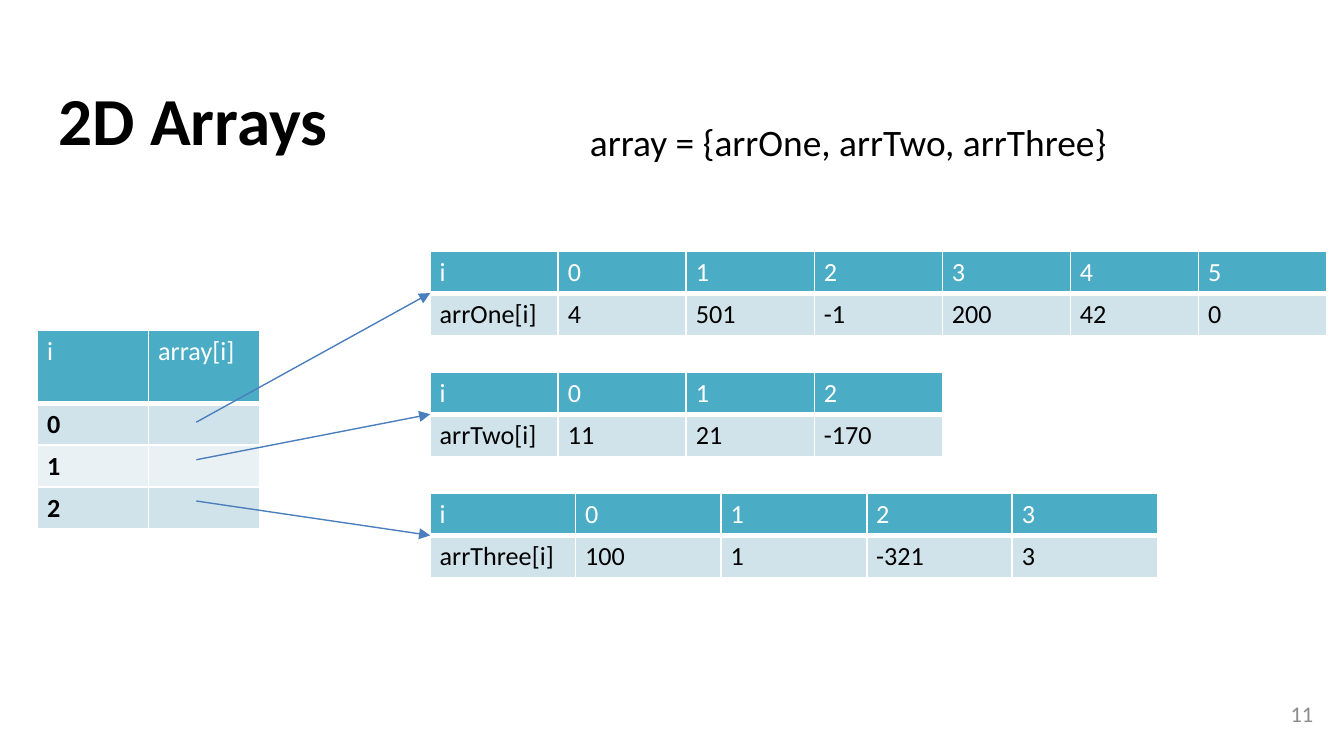
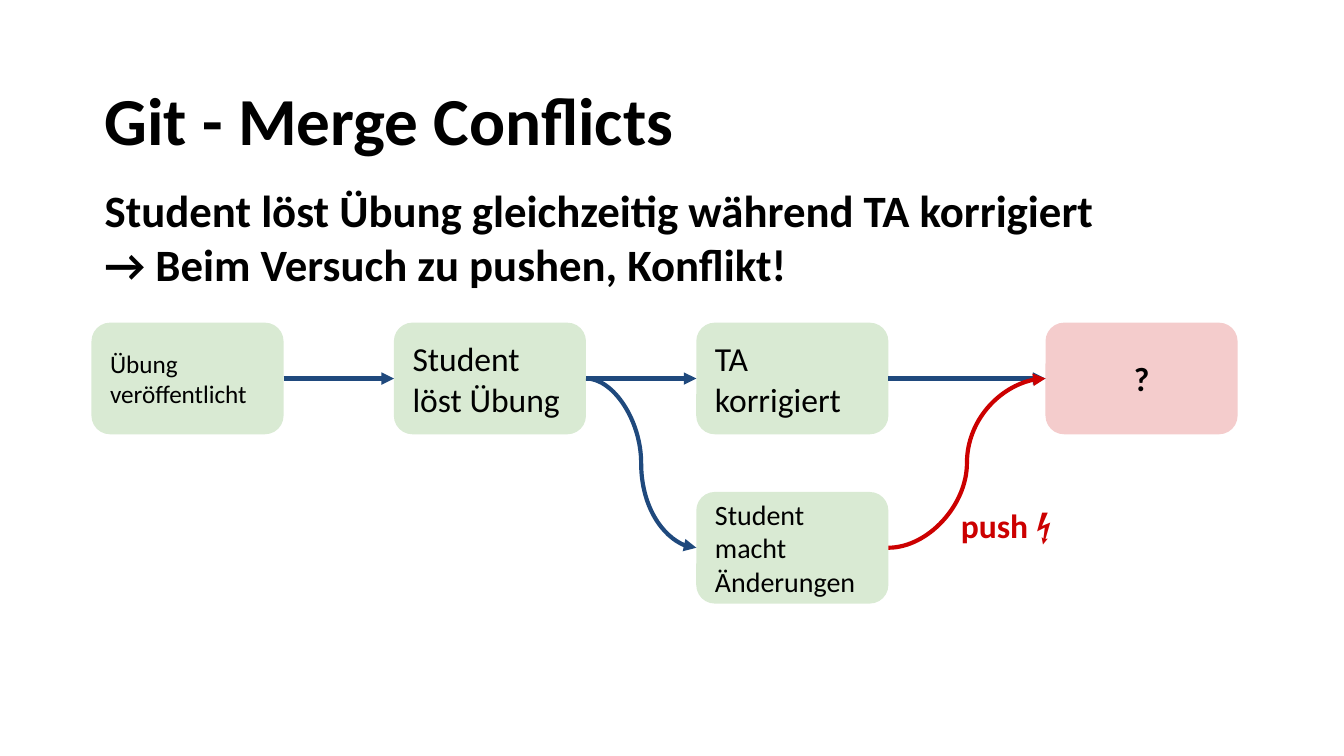
from dataclasses import dataclass

import lxml.etree
import pptx
import pptx.dml.color
import pptx.enum.shapes
import pptx.enum.text
import pptx.oxml.ns
import pptx.presentation
import pptx.shapes.autoshape
import pptx.slide
import pptx.table
import pptx.text.text
import pptx.util

Cm = pptx.util.Cm
Pt = pptx.util.Pt
qn = pptx.oxml.ns.qn
ALIGN = pptx.enum.text.PP_ALIGN
ANCHOR = pptx.enum.text.MSO_ANCHOR
CONNECTOR = pptx.enum.shapes.MSO_CONNECTOR


@dataclass(frozen=True)
class Theme:
    font: str = "Calibri"
    black: str = "000000"
    white: str = "FFFFFF"
    grey: str = "8C8C8C"
    header: str = "4BACC6"
    band: str = "D0E3EA"
    band_light: str = "E9F1F5"
    pointer: str = "4B7EBC"
    flow: str = "1F497D"
    conflict: str = "CC0000"
    step: str = "D9EAD3"
    unknown: str = "F4CCCC"
    title_size: float = 36
    body_size: float = 24
    formula_size: float = 20
    label_size: float = 18
    cell_size: float = 14
    number_size: float = 12


THEME = Theme()


@dataclass(frozen=True)
class Box:
    left: float
    top: float
    width: float
    height: float

    def lengths(self) -> tuple[int, int, int, int]:
        return Cm(self.left), Cm(self.top), Cm(self.width), Cm(self.height)


@dataclass(frozen=True)
class Style:
    size: float
    color: str = THEME.black
    bold: bool = False


@dataclass(frozen=True)
class ArrayTable:
    name: str
    values: tuple[int, ...]
    col_width: float
    pointer_y: float


@dataclass(frozen=True)
class Step:
    key: str
    text: str
    left: float
    top: float
    style: Style
    fill: str = THEME.step
    align: ALIGN = ALIGN.LEFT


@dataclass(frozen=True)
class Flow:
    source: str
    target: str
    kind: CONNECTOR = CONNECTOR.CURVE
    color: str = THEME.flow


def rgb(color: str) -> pptx.dml.color.RGBColor:
    return pptx.dml.color.RGBColor.from_string(color)


def write(tf: pptx.text.text.TextFrame, lines: list[str], style: Style,
          align: ALIGN = ALIGN.LEFT) -> None:
    p = tf.paragraphs[0]
    p.alignment = align
    for i, line in enumerate(lines):
        if i:
            p.add_line_break()
        r = p.add_run()
        r.text = line
        r.font.name = THEME.font
        r.font.size = Pt(style.size)
        r.font.bold = style.bold
        r.font.color.rgb = rgb(style.color)


def set_frame(tf: pptx.text.text.TextFrame, anchor: ANCHOR, inset: float) -> None:
    tf.word_wrap = True
    tf.vertical_anchor = anchor
    tf.margin_left = tf.margin_right = Cm(inset)
    tf.margin_top = tf.margin_bottom = Cm(inset)


def add_text(s: pptx.slide.Slide, box: Box, lines: list[str], style: Style,
             align: ALIGN = ALIGN.LEFT,
             anchor: ANCHOR = ANCHOR.TOP) -> pptx.text.text.TextFrame:
    tf = s.shapes.add_textbox(*box.lengths()).text_frame
    set_frame(tf, anchor, 0.25)
    write(tf, lines, style, align)
    return tf


def add_title(s: pptx.slide.Slide, left: float, text: str) -> None:
    add_text(s, Box(left, 1.24, 23.67, 1.6), [text], Style(THEME.title_size, bold=True))


def set_border(cell: pptx.table._Cell, bottom: float) -> None:
    tc_pr = cell._tc.get_or_add_tcPr()
    for side, width in (("L", 1), ("R", 1), ("T", 1), ("B", bottom)):
        ln = lxml.etree.SubElement(tc_pr, qn(f"a:ln{side}"), w=str(Pt(width)))
        fill = lxml.etree.SubElement(ln, qn("a:solidFill"))
        lxml.etree.SubElement(fill, qn("a:srgbClr"), val=THEME.white)


def add_table(s: pptx.slide.Slide, left: float, top: float, rows: list[list[str]],
              col_width: float, header_height: float = 0.79,
              bold_body: bool = False) -> None:
    row_height = 0.79
    cols = len(rows[0])
    box = Box(left, top, col_width * cols, header_height + row_height * (len(rows) - 1))
    table = s.shapes.add_table(len(rows), cols, *box.lengths()).table
    table.first_row = table.horz_banding = False
    for col in table.columns:
        col.width = Cm(col_width)
    for i, row in enumerate(rows):
        head = i == 0
        table.rows[i].height = Cm(header_height if head else row_height)
        fill = THEME.header if head else THEME.band if i % 2 else THEME.band_light
        style = Style(THEME.cell_size, THEME.white if head else THEME.black,
                      bold_body and not head)
        for j, text in enumerate(row):
            cell = table.cell(i, j)
            set_border(cell, 3 if head else 1)
            cell.fill.solid()
            cell.fill.fore_color.rgb = rgb(fill)
            cell.margin_left = cell.margin_right = Cm(0.18)
            cell.margin_top = cell.margin_bottom = Cm(0.1)
            if text:
                write(cell.text_frame, [text], style)
            else:
                lxml.etree.SubElement(cell.text_frame.paragraphs[0]._p, qn("a:endParaRPr"),
                                      sz=str(int(style.size * 100)))


def add_arrow(s: pptx.slide.Slide, kind: CONNECTOR, color: str, width: float,
              start: tuple[float, float] = (0, 0),
              end: tuple[float, float] = (0, 0)) -> pptx.shapes.connector.Connector:
    cxn = s.shapes.add_connector(kind, *(Cm(v) for v in start + end))
    cxn.line.color.rgb = rgb(color)
    cxn.line.width = Pt(width)
    lxml.etree.SubElement(cxn.line._get_or_add_ln(), qn("a:tailEnd"), type="triangle")
    lxml.etree.SubElement(cxn._element.spPr, qn("a:effectLst"))
    return cxn


def add_step(s: pptx.slide.Slide, step: Step) -> pptx.shapes.autoshape.Shape:
    box = Box(step.left, step.top, 3.63, 2.11)
    sp = s.shapes.add_shape(pptx.enum.shapes.MSO_SHAPE.ROUNDED_RECTANGLE, *box.lengths())
    sp.shadow.inherit = False
    sp.fill.solid()
    sp.fill.fore_color.rgb = rgb(step.fill)
    sp.line.fill.background()
    set_frame(sp.text_frame, ANCHOR.MIDDLE, 0.25)
    write(sp.text_frame, [step.text], step.style, step.align)
    return sp


def build_arrays(prs: pptx.presentation.Presentation) -> None:
    s = prs.slides.add_slide(prs.slide_layouts[6])
    add_title(s, 0.86, "2D Arrays")
    add_text(s, Box(23.55, 12.95, 1.52, 1.09), ["11"],
             Style(THEME.number_size, THEME.grey), ALIGN.RIGHT, ANCHOR.MIDDLE)
    arrays = [
        ArrayTable("arrOne", (4, 501, -1, 200, 42, 0), 2.42, 7.98),
        ArrayTable("arrTwo", (11, 21, -170), 2.42, 8.69),
        ArrayTable("arrThree", (100, 1, -321, 3), 2.75, 9.47),
    ]
    index_rows = [[str(i), ""] for i in range(len(arrays))]
    add_table(s, 0.71, 6.25, [["i", "array[i]"], *index_rows], 2.1, 1.37, True)
    left = 8.13
    for i, array in enumerate(arrays):
        top = 4.75 + 2.29 * i
        indices = [str(n) for n in range(len(array.values))]
        values = [str(v) for v in array.values]
        add_table(s, left, top, [["i", *indices], [f"{array.name}[i]", *values]],
                  array.col_width)
        add_arrow(s, CONNECTOR.STRAIGHT, THEME.pointer, 0.75,
                  (3.71, array.pointer_y), (left, top + 0.79))
    names = ", ".join(array.name for array in arrays)
    tf = add_text(s, Box(10.9, 2.13, 10.54, 1.12), [f"array = {{{names}}}"],
                  Style(THEME.formula_size))
    tf.word_wrap = False
    tf.margin_top = tf.margin_bottom = Cm(0.13)


def build_conflicts(prs: pptx.presentation.Presentation) -> None:
    s = prs.slides.add_slide(prs.slide_layouts[6])
    add_title(s, 1.73, "Git - Merge Conflicts")
    add_text(s, Box(1.73, 3.2, 23.67, 2.11),
             ["Student löst Übung gleichzeitig während TA korrigiert",
              "→ Beim Versuch zu pushen, Konflikt!"],
             Style(THEME.body_size, bold=True))
    upper, lower = 6.1, 9.3
    columns = [1.73 + 5.715 * i for i in range(3)]
    label = Style(THEME.label_size)
    steps = [
        Step("published", "Übung veröffentlicht", columns[0], upper, Style(13.5)),
        Step("solving", "Student löst Übung", columns[1], upper, label),
        Step("grading", "TA korrigiert", columns[2], upper, label),
        Step("editing", "Student macht Änderungen", columns[2], lower, Style(15)),
        Step("merge", "?", 19.76, upper, Style(THEME.label_size, bold=True),
             THEME.unknown, ALIGN.CENTER),
    ]
    shapes = {step.key: add_step(s, step) for step in steps}
    flows = [
        Flow("published", "solving", CONNECTOR.STRAIGHT),
        Flow("solving", "grading"),
        Flow("grading", "merge"),
        Flow("solving", "editing"),
        Flow("editing", "merge", color=THEME.conflict),
    ]
    left_side, right_side = 1, 3
    for flow in flows:
        cxn = add_arrow(s, flow.kind, flow.color, 2.25)
        cxn.begin_connect(shapes[flow.source], right_side)
        cxn.end_connect(shapes[flow.target], left_side)
    add_text(s, Box(17.91, lower, 2.51, 1.12), ["push ⚡"],
             Style(THEME.label_size, THEME.conflict, True))


def main() -> None:
    prs = pptx.Presentation()
    prs.slide_width, prs.slide_height = Cm(25.4), Cm(14.29)
    build_arrays(prs)
    build_conflicts(prs)
    prs.save("out.pptx")


if __name__ == "__main__":
    main()
